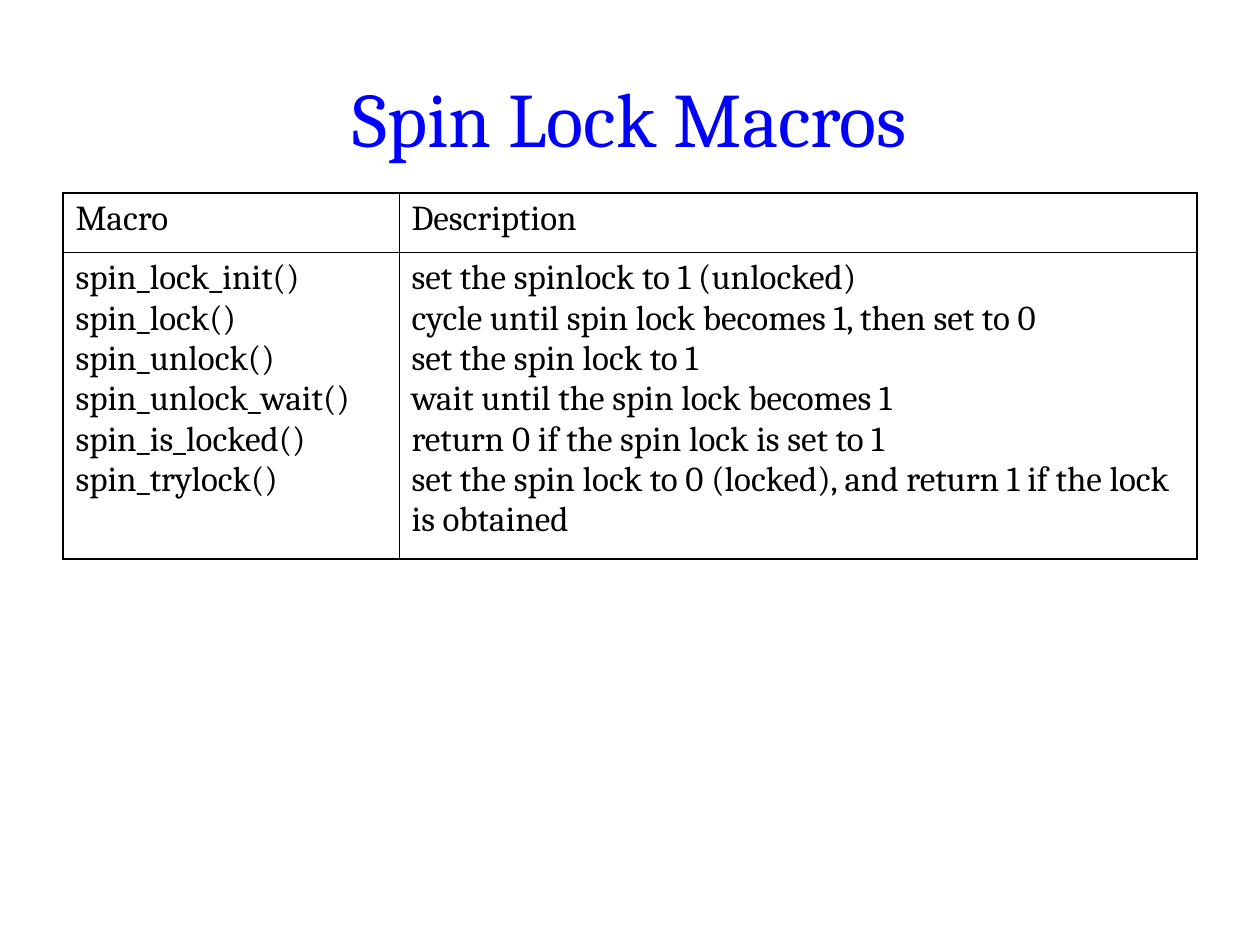
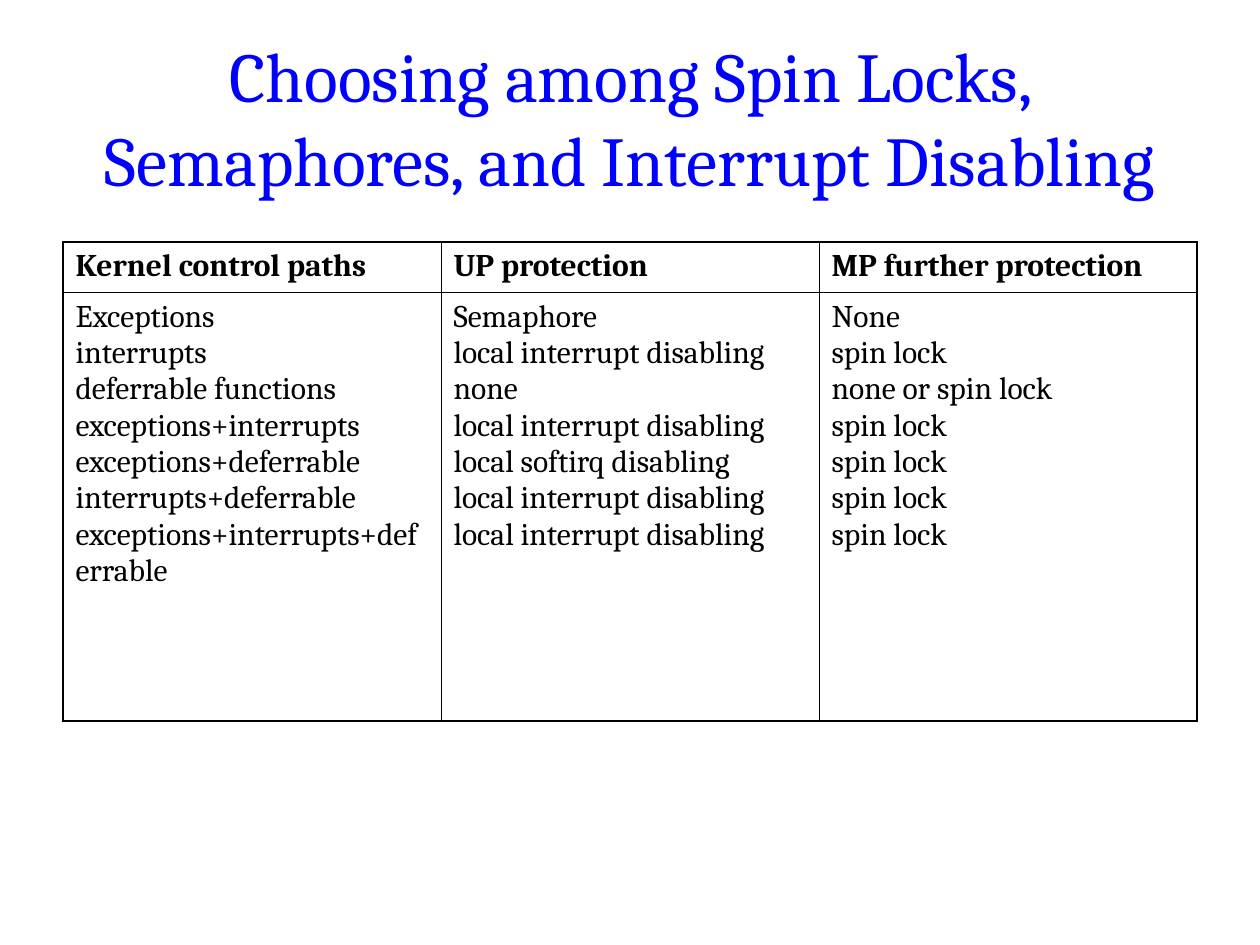
from dataclasses import dataclass

from lxml.etree import SubElement as Sub
from pptx import Presentation
from pptx.dml.color import RGBColor as Rgb
from pptx.enum.text import MSO_ANCHOR as Anchor, PP_ALIGN as Align
from pptx.oxml.ns import qn
from pptx.util import Inches, Pt

# Shared look
FONT, BLUE, BLACK, WHITE = "Cambria", "0000FF", "000000", "FFFFFF"
THICK, THIN = 1.08, 0.45

# Slide size and its grid
WIDE, HIGH = Inches(10), Inches(7.5)
COLS, ROWS = 60, 150


@dataclass
class Page:
    title: str
    size: int       # title size in points
    left: int       # title's side margin in columns
    top: float      # table's top in rows
    cols: list[int]
    rows: list[float]
    text: int       # table text size in points
    bold: bool      # bold head row
    head: list[str]
    body: list[list[str]]


PAGES = [
    Page(
        "Spin Lock Macros", 44, 3, 30.6, [16, 38], [9.4, 48.6], 20, False,
        ["Macro", "Description"],
        [
            ["spin_lock_init()", "spin_lock()", "spin_unlock()",
             "spin_unlock_wait()", "spin_is_locked()", "spin_trylock()"],
            ["set the spinlock to 1 (unlocked)",
             "cycle until spin lock becomes 1, then set to 0",
             "set the spin lock to 1",
             "wait until the spin lock becomes 1",
             "return 0 if the spin lock is set to 1",
             "set the spin lock to 0 (locked), and return 1 if the lock "
             "is obtained"],
        ],
    ),
    Page(
        "Choosing among Spin Locks, Semaphores, and Interrupt Disabling",
        40, 2, 38.4, [18] * 3, [8, 68], 18, True,
        ["Kernel control paths", "UP protection", "MP further protection"],
        [
            ["Exceptions", "interrupts", "deferrable functions",
             "exceptions+interrupts", "exceptions+deferrable",
             "interrupts+deferrable", "exceptions+interrupts+deferrable"],
            ["Semaphore", "local interrupt disabling", "none",
             "local interrupt disabling", "local softirq disabling",
             "local interrupt disabling", "local interrupt disabling"],
            ["None", "spin lock", "none or spin lock"] + ["spin lock"] * 4,
        ],
    ),
]


def across(n: float) -> int:
    return round(WIDE * n / COLS)


def down(n: float) -> int:
    return round(HIGH * n / ROWS)


def color(code: str) -> Rgb:
    return Rgb.from_string(code)


def write(frame, text: str, *, size: int, ink: str = BLACK,
          bold: bool = False, align=Align.LEFT, before: float = 0) -> None:
    """Fill a text frame with one paragraph; newlines become line breaks."""
    frame.word_wrap = True
    para = frame.paragraphs[0]
    para.text = text
    para.alignment = align
    para.space_before = Pt(before)
    for run in para.runs:
        font = run.font
        font.name, font.size, font.bold = FONT, Pt(size), bold
        font.color.rgb = color(ink)


def edge(cell, sides: dict[str, float]) -> None:
    """Draw cell borders, which must come before the cell's fill."""
    props = cell._tc.get_or_add_tcPr()
    for i, (side, width) in enumerate(sides.items()):
        line = props.makeelement(qn(f"a:ln{side}"), {"w": str(Pt(width))})
        fill = Sub(line, qn("a:solidFill"))
        Sub(fill, qn("a:srgbClr"), val=BLACK)
        props.insert(i, line)


def title(slide, page: Page) -> None:
    box = slide.shapes.add_textbox(across(page.left), down(6),
                                   across(COLS - 2 * page.left), down(25))
    box.text_frame.vertical_anchor = Anchor.MIDDLE
    write(box.text_frame, page.title, size=page.size, ink=BLUE,
          align=Align.CENTER)


def table(slide, page: Page) -> None:
    wide, high = len(page.cols), len(page.rows)
    grid = slide.shapes.add_table(
        high, wide, across(3), down(page.top),
        across(sum(page.cols)), down(sum(page.rows))).table
    grid.first_row = grid.horz_banding = False
    for col, n in zip(grid.columns, page.cols):
        col.width = across(n)
    for row, n in zip(grid.rows, page.rows):
        row.height = down(n)

    # Thick outer frame, thin inner rules
    texts = [page.head, ["\n".join(lines) for lines in page.body]]
    for r, line in enumerate(texts):
        for c, text in enumerate(line):
            cell = grid.cell(r, c)
            cell.fill.background()
            write(cell.text_frame, text, size=page.text,
                  bold=page.bold and r == 0, before=page.text / 4)
            outer = {"L": c == 0, "R": c == wide - 1,
                     "T": r == 0, "B": r == high - 1}
            edge(cell, {side: THICK if out else THIN
                        for side, out in outer.items()})


def main() -> None:
    deck = Presentation()
    deck.slide_width, deck.slide_height = WIDE, HIGH
    for page in PAGES:
        slide = deck.slides.add_slide(deck.slide_layouts[6])
        slide.background.fill.solid()
        slide.background.fill.fore_color.rgb = color(WHITE)
        title(slide, page)
        table(slide, page)
    deck.save("out.pptx")


if __name__ == "__main__":
    main()
